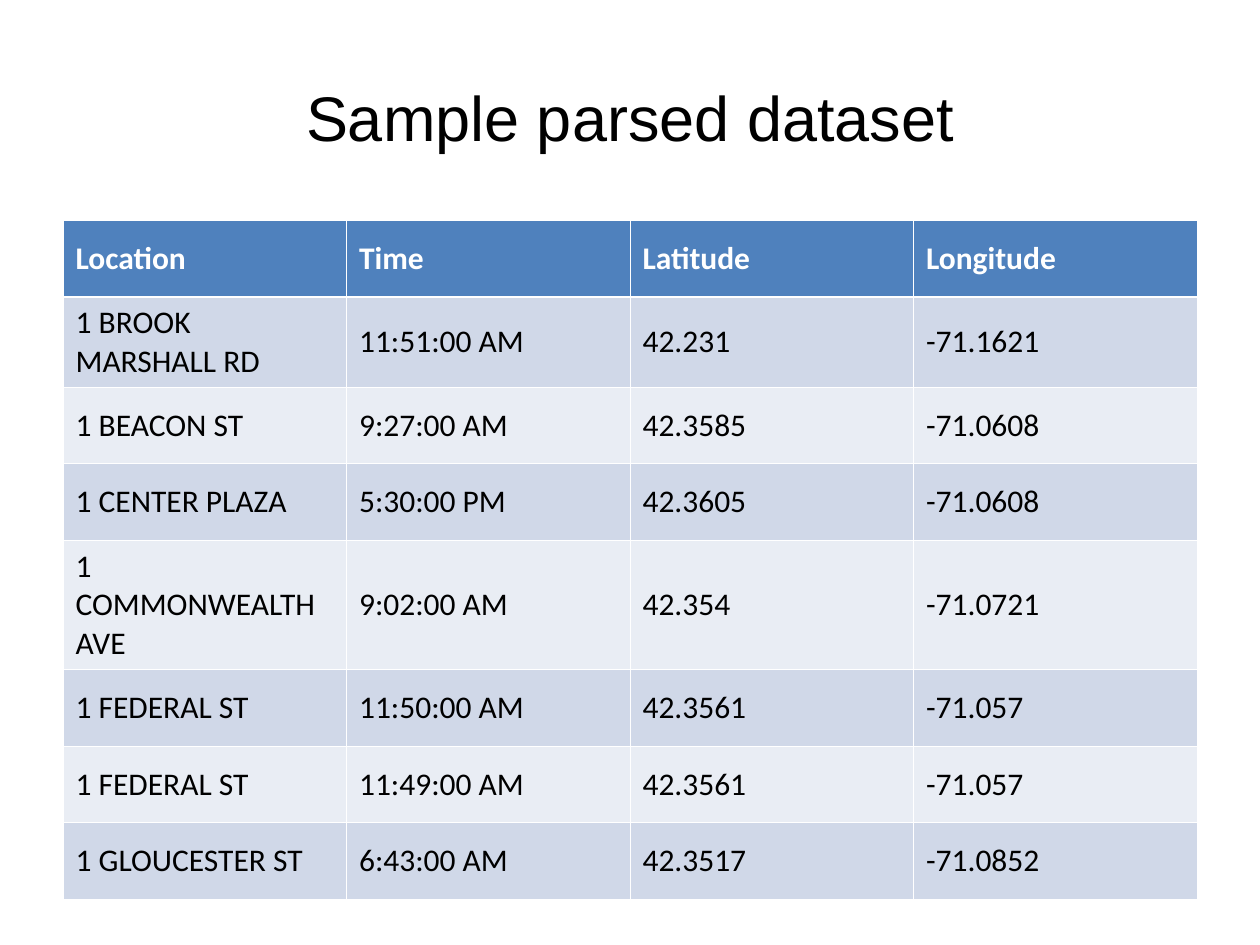
from lxml import etree
from pptx import Presentation, util as u
from pptx.dml.color import RGBColor
from pptx.enum import text
from pptx.oxml import ns

TITLE = "Sample parsed dataset"
HEADER = ("Location", "Time", "Latitude", "Longitude")
RECORDS = [
    ("1 BROOK MARSHALL RD", "11:51:00 AM", "42.231", "-71.1621"),
    ("1 BEACON ST", "9:27:00 AM", "42.3585", "-71.0608"),
    ("1 CENTER PLAZA", "5:30:00 PM", "42.3605", "-71.0608"),
    ("1 COMMONWEALTH AVE", "9:02:00 AM", "42.354", "-71.0721"),
    ("1 FEDERAL ST", "11:50:00 AM", "42.3561", "-71.057"),
    ("1 FEDERAL ST", "11:49:00 AM", "42.3561", "-71.057"),
    ("1 GLOUCESTER ST", "6:43:00 AM", "42.3517", "-71.0852"),
]
ROW_HEIGHT = 0.61
TALL_ROWS = {1: 0.71, 4: 1.02}
THIN, THICK = 0.45, 1.47

BLACK = RGBColor(0x00, 0x00, 0x00)
WHITE = RGBColor(0xFF, 0xFF, 0xFF)
BLUE = RGBColor(0x4F, 0x81, 0xBD)
BANDS = (RGBColor(0xE9, 0xED, 0xF4), RGBColor(0xD0, 0xD8, 0xE8))


def write(frame, words, *, size, font, color=BLACK, bold=False, align=text.PP_ALIGN.LEFT):
    para = frame.paragraphs[0]
    para.alignment = align
    span = para.add_run()
    span.text = words
    span.font.size = u.Pt(size)
    span.font.name = font
    span.font.bold = bold
    span.font.color.rgb = color


def add_borders(cell, row):
    widths = {
        "L": THIN,
        "R": THIN,
        "T": THICK if row == 1 else THIN,
        "B": THICK if row == 0 else THIN,
    }
    properties = cell._tc.get_or_add_tcPr()
    for side, width in widths.items():
        line = etree.SubElement(properties, ns.qn(f"a:ln{side}"), w=str(u.Pt(width)))
        fill = etree.SubElement(line, ns.qn("a:solidFill"))
        etree.SubElement(fill, ns.qn("a:srgbClr"), val=str(WHITE))


deck = Presentation()
deck.slide_width, deck.slide_height = u.Inches(10), u.Inches(7.5)
margin = deck.slide_width // 20
content_width = deck.slide_width - 2 * margin
page = deck.slides.add_slide(deck.slide_layouts[5])

title = page.shapes.title
title.left, title.top = margin, u.Inches(0.3)
title.width, title.height = content_width, u.Inches(1.25)
title.text_frame.vertical_anchor = text.MSO_ANCHOR.MIDDLE
write(title.text_frame, TITLE, size=36, font="Arial", align=text.PP_ALIGN.CENTER)

rows = [HEADER, *RECORDS]
heights = [u.Inches(TALL_ROWS.get(row, ROW_HEIGHT)) for row in range(len(rows))]
table = page.shapes.add_table(
    len(rows), len(HEADER), margin, u.Inches(1.75), content_width, sum(heights)
).table

for row, values in enumerate(rows):
    table.rows[row].height = heights[row]
    is_header = row == 0
    for column, value in enumerate(values):
        cell = table.cell(row, column)
        cell.vertical_anchor = text.MSO_ANCHOR.MIDDLE
        add_borders(cell, row)
        cell.fill.solid()
        cell.fill.fore_color.rgb = BLUE if is_header else BANDS[row % 2]
        write(cell.text_frame, value, size=18, font="Calibri",
              color=WHITE if is_header else BLACK, bold=is_header)

deck.save("out.pptx")
